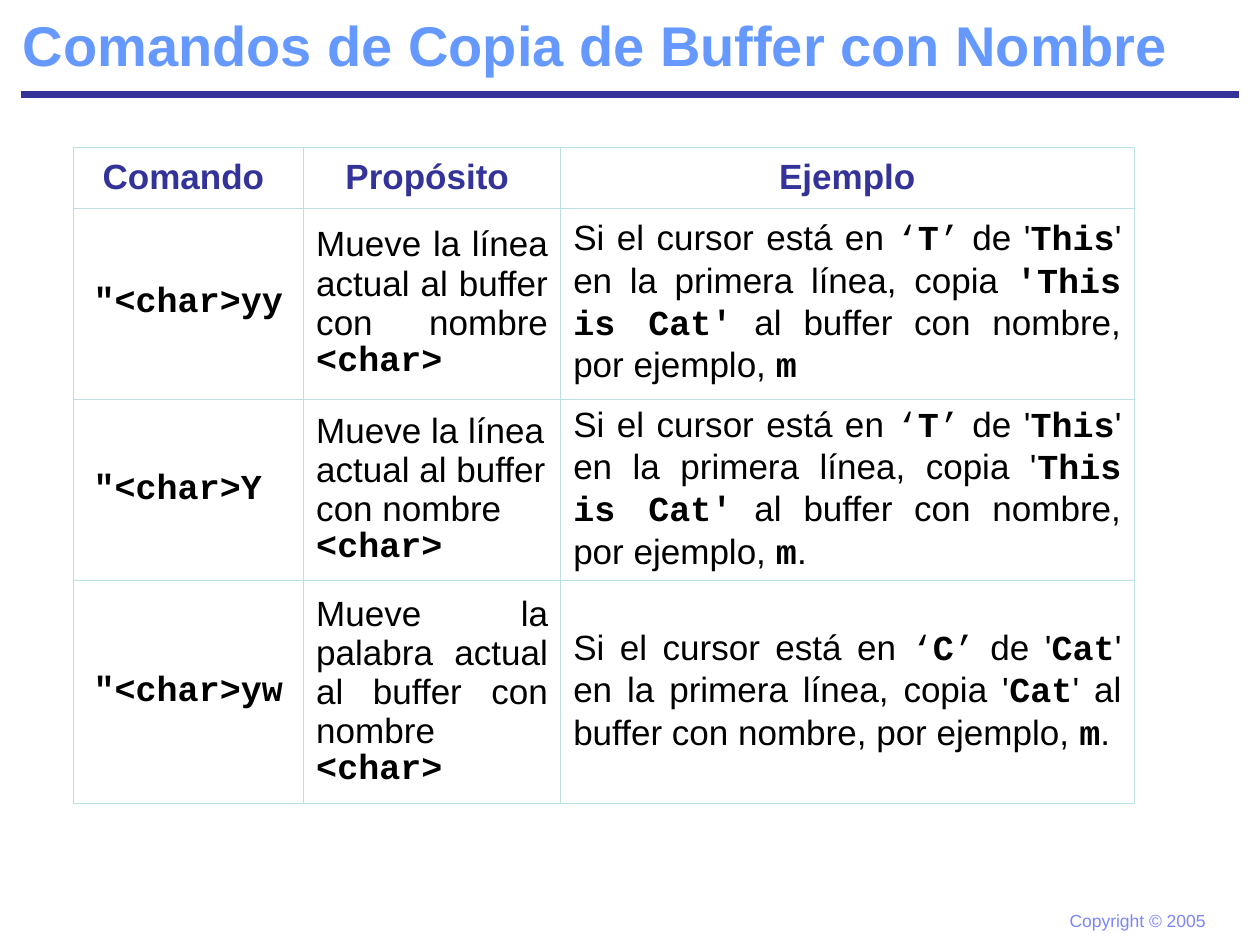
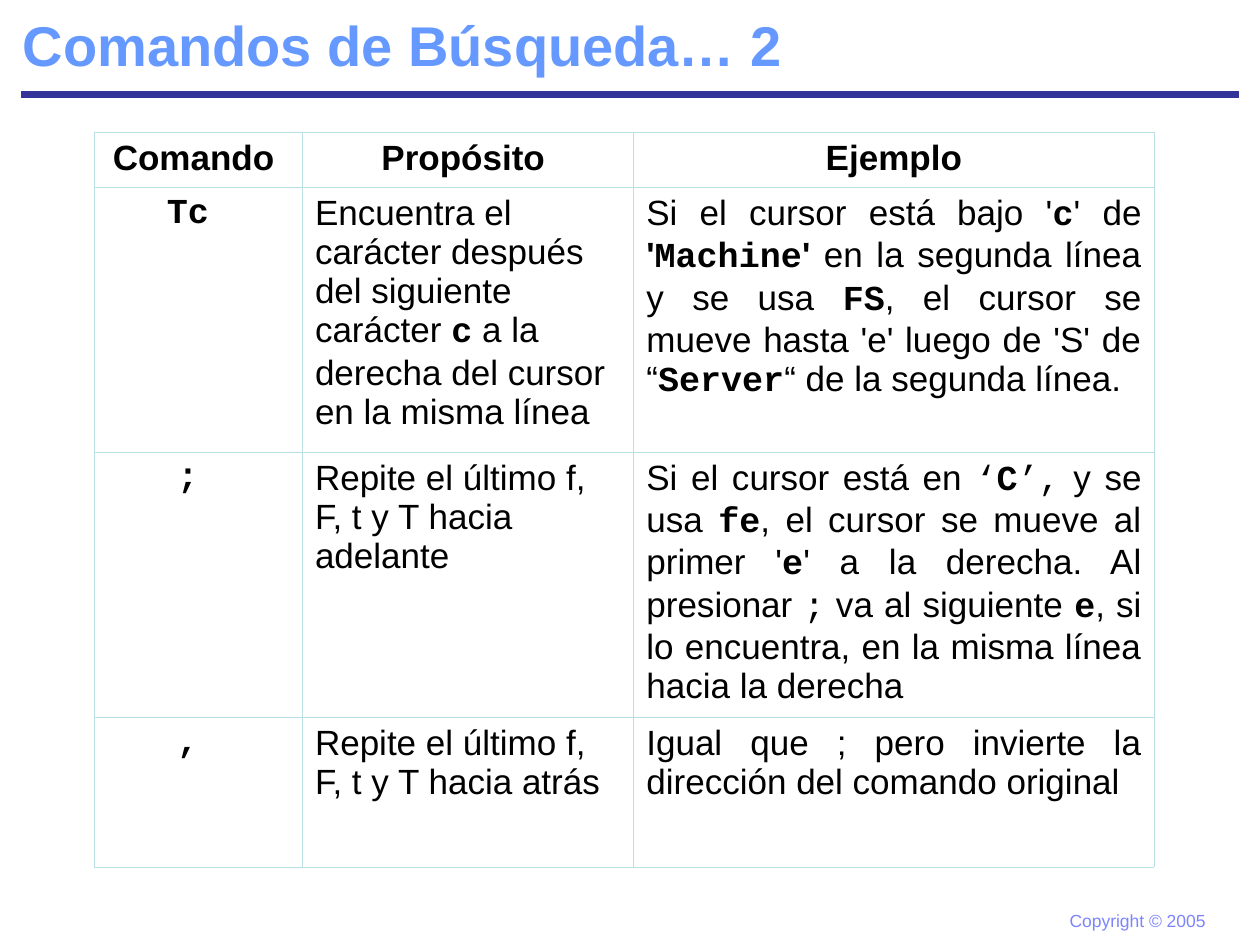
from lxml import etree
from pptx import Presentation
from pptx.dml.color import RGBColor
from pptx.enum import shapes, text
from pptx.oxml.ns import qn
from pptx.util import Inches, Pt

# Shared look
NAVY = RGBColor(0x33, 0x33, 0x99)
TITLE_BLUE = RGBColor(0x66, 0x99, 0xFF)
FOOTER_BLUE = RGBColor(0x7C, 0x85, 0xFC)
BLACK = RGBColor(0, 0, 0)
BORDER = RGBColor(0xBB, 0xE0, 0xE3)
SANS, MONO = "Arial", "Courier New"
LEFT, CENTER, JUSTIFY = (text.PP_ALIGN.LEFT, text.PP_ALIGN.CENTER,
                         text.PP_ALIGN.JUSTIFY)
TOP, MIDDLE = text.MSO_ANCHOR.TOP, text.MSO_ANCHOR.MIDDLE
FOOTER = "Copyright © 2005"


# Run styles: (text, font, bold); a bare string is plain sans text
def code(t):
    return t, MONO, True


def thin(t):
    return t, MONO, False


def strong(t):
    return t, SANS, True


def quoted(t):
    return [thin("‘"), code(t), thin("’")]


# Content: each row is command, purpose runs, purpose alignment, example runs
HEADINGS = ["Comando ", "Propósito ", "Ejemplo"]
LINE_PURPOSE = ["Mueve la línea actual al buffer con nombre ", code("<char>")]
WORD_PURPOSE = ["Mueve la palabra actual al buffer con nombre ", code("<char>")]
CURSOR = "Si el cursor está en "
COPY = "' en la primera línea, copia "
TO_BUFFER = " al buffer con nombre, por ejemplo, "

SLIDES = [
    {
        "title": "Comandos de Copia de Buffer con Nombre",
        "at": (0.58, 1.17), "cols": [1.83, 2.04, 4.55],
        "rows": [0.48, 1.52, 1.44, 1.77],
        "anchor": MIDDLE, "heading_color": NAVY,
        "body": [
            ('"<char>yy ', LINE_PURPOSE, JUSTIFY,
             [CURSOR, *quoted("T"), " de '", code("This"), COPY,
              code("'This is Cat'"), TO_BUFFER, code("m")]),
            ('"<char>Y ', LINE_PURPOSE, LEFT,
             [CURSOR, *quoted("T"), " de '", code("This"), COPY + "'",
              code("This is Cat'"), TO_BUFFER, code("m"), "."]),
            ('"<char>yw ', WORD_PURPOSE, JUSTIFY,
             [CURSOR, *quoted("C"), " de '", code("Cat"), COPY + "'",
              code("Cat"), "'" + TO_BUFFER, code("m"), "."]),
        ],
    },
    {
        "title": "Comandos de Búsqueda… 2",
        "at": (0.75, 1.05), "cols": [1.65, 2.63, 4.13],
        "rows": [0.44, 2.1, 2.1, 1.19],
        "anchor": TOP, "heading_color": BLACK,
        "body": [
            ("Tc ",
             ["Encuentra el carácter después del siguiente carácter ",
              code("c"), " a la derecha del cursor en la misma línea"], LEFT,
             ["Si el cursor está bajo '", code("c"), "' de ", strong("'"),
              code("Machine"), strong("'"),
              " en la segunda línea y se usa ", code("FS"),
              ", el cursor se mueve hasta 'e' luego de 'S' de “",
              code("Server"), "“ de la segunda línea."]),
            ("; ", ["Repite el último f, F, t y T hacia adelante"], LEFT,
             [CURSOR, thin("‘"), code("C"), thin("’,"), " y se usa ",
              code("fe"), ", el cursor se mueve al primer '", code("e"),
              "' a la derecha. Al presionar ", thin(";"),
              " va al siguiente ", code("e"),
              ", si lo encuentra, en la misma línea hacia la derecha"]),
            (", ", ["Repite el último f, F, t y T hacia atrás"], LEFT,
             ["Igual que ; pero invierte la dirección del comando original"]),
        ],
    },
]


def style(r, size, color, font=SANS, bold=False):
    r.font.size, r.font.name, r.font.bold = Pt(size), font, bold
    r.font.color.rgb = color


def add_frame(s, title):
    """Title, rule and footer common to every slide."""
    sp = s.shapes.title
    sp.left, sp.top, sp.width, sp.height = map(Inches, (0.08, 0, 9.92, 0.67))
    tf = sp.text_frame
    tf.text = title
    tf.vertical_anchor = text.MSO_ANCHOR.BOTTOM
    tf.auto_size = text.MSO_AUTO_SIZE.NONE
    p = tf.paragraphs[0]
    p.alignment = LEFT
    style(p.runs[0], 32, TITLE_BLUE, bold=True)

    rule = s.shapes.add_connector(shapes.MSO_CONNECTOR.STRAIGHT, Inches(0.17),
                                  Inches(0.75), Inches(9.83), Inches(0.75))
    rule.line.color.rgb, rule.line.width = NAVY, Pt(4.5)
    etree.SubElement(rule._element.spPr, qn("a:effectLst"))

    tf = s.shapes.add_textbox(*map(Inches, (8.39, 7.17, 1.28, 0.27))).text_frame
    tf.text = FOOTER
    tf.word_wrap = False
    style(tf.paragraphs[0].runs[0], 10, FOOTER_BLUE)


def add_borders(cell):
    tcPr = cell._tc.get_or_add_tcPr()
    for i, side in enumerate(("lnL", "lnR", "lnT", "lnB")):
        ln = etree.Element(qn("a:" + side), w=str(Pt(0.45)))
        fill = etree.SubElement(ln, qn("a:solidFill"))
        etree.SubElement(fill, qn("a:srgbClr"), val=str(BORDER))
        tcPr.insert(i, ln)


def fill_cell(cell, runs, align, anchor, color=BLACK):
    cell.fill.background()
    add_borders(cell)
    cell.vertical_anchor = anchor
    cell.margin_left = cell.margin_right = Inches(0.1)
    cell.margin_top = cell.margin_bottom = Inches(0.05)
    p = cell.text_frame.paragraphs[0]
    p.alignment = align
    for run in runs:
        t, font, bold = (run, SANS, False) if isinstance(run, str) else run
        r = p.add_run()
        r.text = t
        style(r, 20, color, font, bold)


def add_command_table(s, data):
    cols, rows = data["cols"], data["rows"]
    box = map(Inches, (*data["at"], sum(cols), sum(rows)))
    table = s.shapes.add_table(len(rows), len(cols), *box).table
    table.first_row = table.horz_banding = False
    for col, width in zip(table.columns, cols):
        col.width = Inches(width)
    for row, height in zip(table.rows, rows):
        row.height = Inches(height)

    anchor = data["anchor"]
    for c, heading in enumerate(HEADINGS):
        fill_cell(table.cell(0, c), [strong(heading)], CENTER, anchor,
                  data["heading_color"])
    for i, (command, purpose, align, example) in enumerate(data["body"], 1):
        fill_cell(table.cell(i, 0), [code(command)], CENTER, anchor)
        fill_cell(table.cell(i, 1), purpose, align, anchor)
        fill_cell(table.cell(i, 2), example, JUSTIFY, anchor)


def main():
    prs = Presentation()
    prs.slide_width, prs.slide_height = Inches(10), Inches(7.5)
    for data in SLIDES:
        s = prs.slides.add_slide(prs.slide_layouts[5])
        add_frame(s, data["title"])
        add_command_table(s, data)
    prs.save("out.pptx")


if __name__ == "__main__":
    main()
